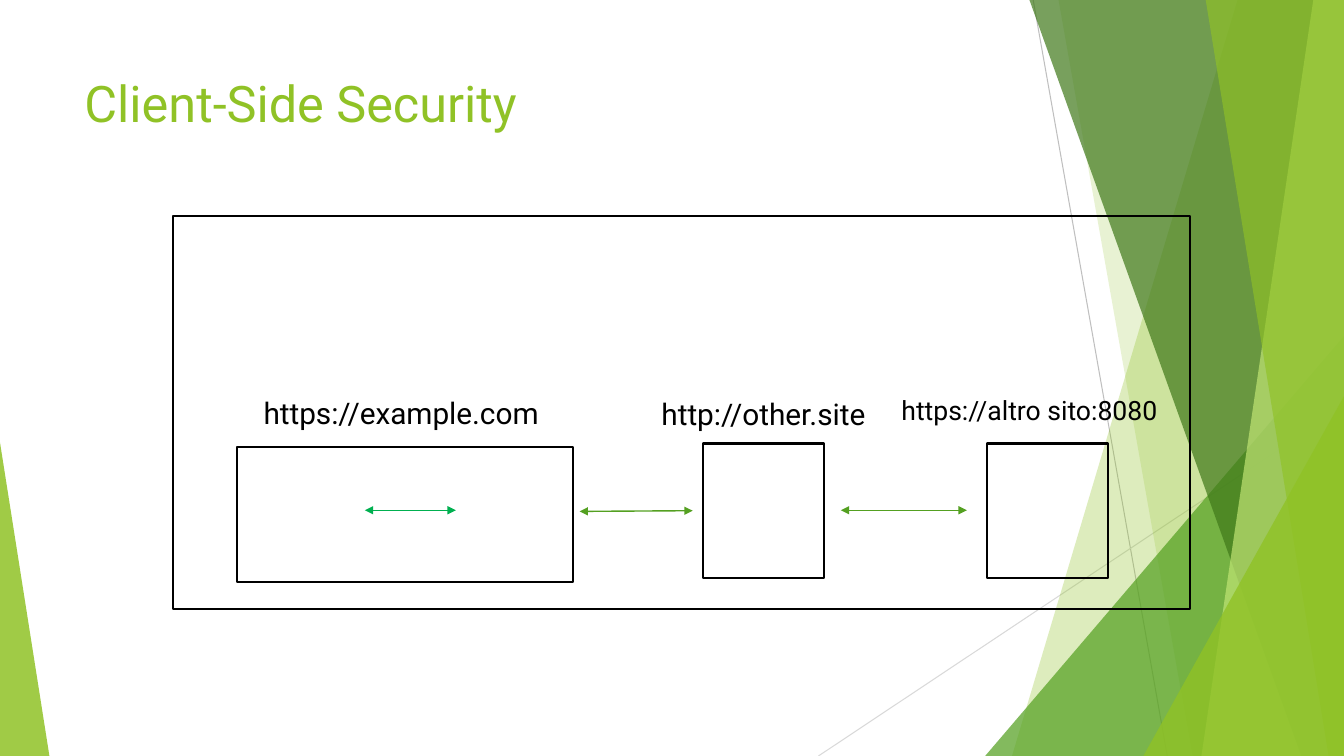
from lxml.etree import SubElement
from pptx import Presentation
from pptx.dml.color import RGBColor
from pptx.enum.shapes import MSO_CONNECTOR, MSO_SHAPE
from pptx.enum.text import MSO_ANCHOR, MSO_AUTO_SIZE, PP_ALIGN
from pptx.oxml.ns import qn
from pptx.util import Pt

WIDTH, HEIGHT = 960, 540


def color(value):
    return RGBColor.from_string(value)


class SlideBuilder:
    font = "Roboto"
    lime = "90C226"
    green = "54A021"
    black = "000000"

    def __init__(self, slide):
        self.slide = slide

    def fill(self, shape, value, opacity):
        shape.shadow.inherit = False
        shape.line.fill.background()
        shape.fill.solid()
        shape.fill.fore_color.rgb = color(value)
        color_element = shape._element.spPr.find(qn("a:solidFill"))[0]
        SubElement(color_element, qn("a:alpha"), val=str(opacity * 1000))

    def band(self, top_left, top_right, bottom_right, bottom_left, value, opacity):
        builder = self.slide.shapes.build_freeform(Pt(top_left), Pt(-0.7))
        corners = [(top_right, -0.7), (bottom_right, HEIGHT), (bottom_left, HEIGHT)]
        builder.add_line_segments([(Pt(x), Pt(y)) for x, y in corners], close=True)
        self.fill(builder.convert_to_shape(), value, opacity)

    def triangle(self, left, top, width, apex, value, opacity):
        shape = self.slide.shapes.add_shape(
            MSO_SHAPE.ISOSCELES_TRIANGLE, Pt(left), Pt(top), Pt(width), Pt(HEIGHT - top))
        shape.adjustments[0] = apex
        self.fill(shape, value, opacity)

    def outline(self, left, top, width, height):
        shape = self.slide.shapes.add_shape(
            MSO_SHAPE.RECTANGLE, Pt(left), Pt(top), Pt(width), Pt(height))
        shape.shadow.inherit = False
        shape.fill.background()
        shape.line.color.rgb = color(self.black)
        shape.line.width = Pt(1.5)

    def line(self, start, end, value, width, arrows=False):
        connector = self.slide.shapes.add_connector(
            MSO_CONNECTOR.STRAIGHT, *(Pt(length) for length in (*start, *end)))
        connector.line.color.rgb = color(value)
        connector.line.width = Pt(width)
        if arrows:
            line_element = connector.line._get_or_add_ln()
            for tag in ("a:headEnd", "a:tailEnd"):
                SubElement(line_element, qn(tag), type="triangle")
        SubElement(connector._element.spPr, qn("a:effectLst"))

    def text(self, left, top, width, height, words, size, value,
             insets=(9.6, 4.8), alignment=PP_ALIGN.LEFT, auto_size=MSO_AUTO_SIZE.NONE):
        shape = self.slide.shapes.add_textbox(Pt(left), Pt(top), Pt(width), Pt(height))
        frame = shape.text_frame
        frame.word_wrap = True
        frame.auto_size = auto_size
        frame.vertical_anchor = MSO_ANCHOR.TOP
        frame.margin_left = frame.margin_right = Pt(insets[0])
        frame.margin_top = frame.margin_bottom = Pt(insets[1])
        paragraph = frame.paragraphs[0]
        paragraph.alignment = alignment
        run = paragraph.add_run()
        run.text = words
        run.font.name = self.font
        run.font.size = Pt(size)
        run.font.color.rgb = color(value)

    def backdrop(self):
        self.line((738, 0), (833.8, HEIGHT), "BFBFBF", 0.75)
        self.line((WIDTH, 290.2), (584.6, HEIGHT), "D9D9D9", 0.75)
        self.band(884.2, WIDTH, WIDTH, 722.9, self.lime, 30)
        self.band(756, WIDTH, WIDTH, 851.8, self.lime, 20)
        self.triangle(703.7, 240, 256.3, 1, self.green, 72)
        self.band(735.1, WIDTH, WIDTH, 929.5, "3F7819", 70)
        self.band(938.2, WIDTH, WIDTH, 858.2, "C0E474", 70)
        self.band(861.1, WIDTH, WIDTH, 949, self.lime, 65)
        self.triangle(816.7, 283, 143.3, 1, self.lime, 80)
        self.triangle(0, 316.1, 35.3, 0, self.lime, 85)

    def origins_diagram(self):
        self.outline(123.4, 154.2, 726.9, 281)
        self.outline(169.1, 319.5, 240.3, 96)
        for left in (502.2, 705):
            self.outline(left, 316.8, 86.6, 96)
        for left, top, width, address in (
                (169.2, 277.2, 234.7, "https://example.com"),
                (451.4, 277.9, 187.9, "http://other.site")):
            self.text(left, top, width, 35.3, address, 21.3, self.black,
                      alignment=PP_ALIGN.CENTER, auto_size=MSO_AUTO_SIZE.SHAPE_TO_FIT_TEXT)
        self.text(634.3, 276.5, 228.2, 35.3, "https://altro sito:8080", 19, self.black)
        for start, end, value in (
                ((260.6, 364.5), (325.6, 364.5), "00B050"),
                ((414, 365.3), (494.8, 364.8), self.green),
                ((600.6, 364.5), (690.6, 364.5), self.green)):
            self.line(start, end, value, 1, arrows=True)


def main():
    presentation = Presentation()
    presentation.slide_width = Pt(WIDTH)
    presentation.slide_height = Pt(HEIGHT)
    slide = presentation.slides.add_slide(presentation.slide_layouts[6])
    builder = SlideBuilder(slide)
    builder.backdrop()
    builder.text(53.3, 48.2, 676.8, 103.7, "Client-Side Security", 36, builder.lime,
                 insets=(7.2, 3.6))
    builder.origins_diagram()
    presentation.save("out.pptx")


if __name__ == "__main__":
    main()
